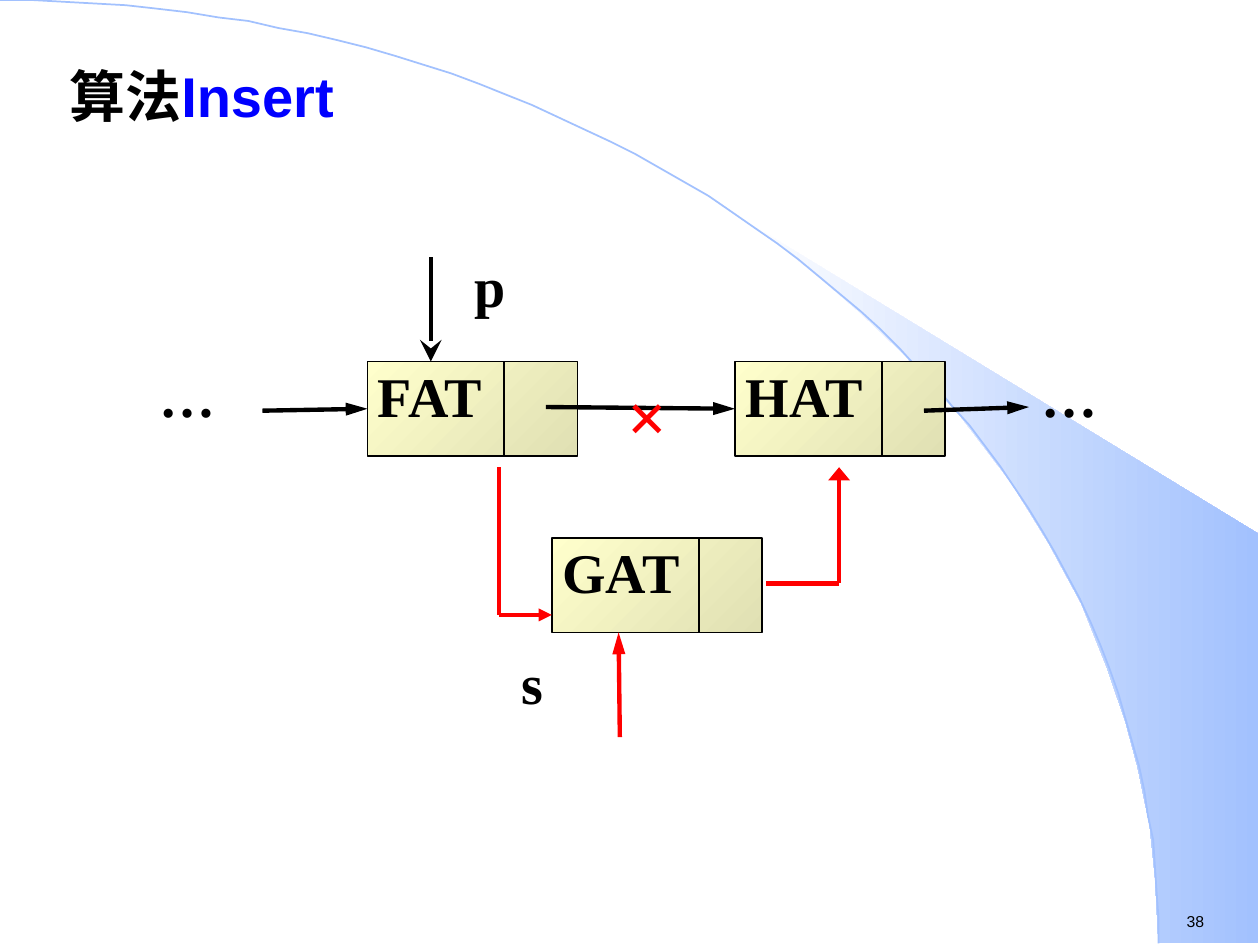
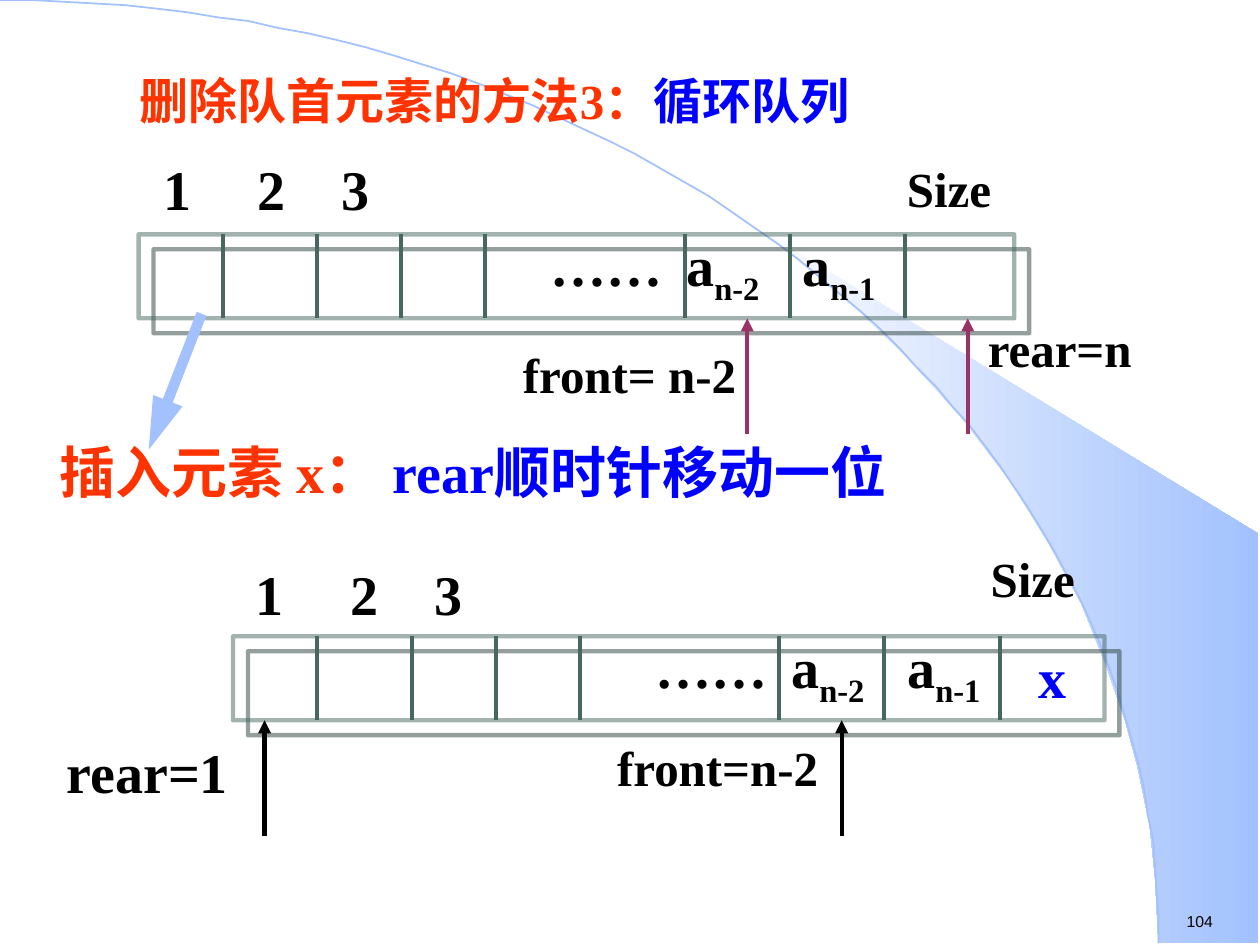
from lxml.etree import SubElement
from pptx import Presentation
from pptx.dml.color import RGBColor
from pptx.enum.shapes import MSO_CONNECTOR as Connector, MSO_SHAPE as Shape
from pptx.enum.text import MSO_ANCHOR as Anchor, PP_ALIGN as Align
from pptx.oxml.ns import qn
from pptx.util import Pt

BLACK = RGBColor(0x00, 0x00, 0x00)
WHITE = RGBColor(0xFF, 0xFF, 0xFF)
BLUE = RGBColor(0x00, 0x00, 0xFF)
RED = RGBColor(0xFF, 0x00, 0x00)
ORANGE = RGBColor(0xFF, 0x33, 0x00)
SKY = RGBColor(0xA2, 0xC1, 0xFE)
PLUM = RGBColor(0x99, 0x33, 0x66)
TEAL = RGBColor(0x46, 0x68, 0x61)
CREAM = RGBColor(0xFF, 0xFF, 0xCC)
KHAKI = RGBColor(0xE0, 0xE0, 0xB3)
SERIF, SANS = "Times New Roman", "Arial"

INSET = {"margin_left": Pt(7.2), "margin_right": Pt(7.2),
         "margin_top": Pt(3.6), "margin_bottom": Pt(3.6)}
FLUSH = dict.fromkeys(INSET, 0)


def write(slide, runs, left, top, width, height=46, size=32, name=SERIF,
          bold=True, margins=INSET, **paragraph_format):
    box = slide.shapes.add_textbox(Pt(left), Pt(top), Pt(width), Pt(height))
    frame_format = {"word_wrap": True, "vertical_anchor": Anchor.TOP, **margins}
    for key, value in frame_format.items():
        setattr(box.text_frame, key, value)
    paragraph = box.text_frame.paragraphs[0]
    for key, value in paragraph_format.items():
        setattr(paragraph, key, value)
    for text, color, *baseline in runs:
        run = paragraph.add_run()
        run.text = text
        for key, value in {"size": Pt(size), "name": name, "bold": bold}.items():
            setattr(run.font, key, value)
        run.font.color.rgb = color
        if baseline:
            run._r.get_or_add_rPr().set("baseline", str(baseline[0]))


def connect(slide, start, end, color=BLACK, width=2.5, head=None):
    line = slide.shapes.add_connector(
        Connector.STRAIGHT, *(Pt(value) for value in (*start, *end)))
    line.line.color.rgb = color
    line.line.width = Pt(width)
    if head:
        kind, head_width, length = head
        SubElement(line.line._get_or_add_ln(), qn("a:tailEnd"),
                   type=kind, w=head_width, len=length)
    SubElement(line._element.spPr, qn("a:effectLst"))
    return line


SHORT = ("triangle", "med", "med")
LONG = ("triangle", "med", "lg")
BROAD = ("triangle", "lg", "med")
STEALTH = ("stealth", "lg", "lg")

SWEEP = [(662.4, 538.6), (719.3, 539.3), (719.3, 304.6), (424.1, 124.6),
         (449.3, 143.3), (470.2, 159.8), (493.2, 180), (515.5, 201.6),
         (548.6, 237.6), (578.2, 276.5), (599, 310.3), (617.8, 344.9),
         (632.2, 380.2), (643, 411.8), (650.2, 438.5), (657.4, 472.3),
         (660.2, 501.1)]
ARC_WIDTH, ARC_HEIGHT = 662.4, 539.3
ARC_STEPS = 60
arc = []
for step in range(ARC_STEPS + 1):
    t = step / ARC_STEPS
    ease_in, ease_out, finish = 3 * (1 - t) ** 2 * t, 3 * (1 - t) * t ** 2, t ** 3
    arc.append((365.8 * ease_in + ARC_WIDTH * (ease_out + finish),
                241.2 * ease_out + ARC_HEIGHT * finish))

deck = Presentation()
deck.slide_width, deck.slide_height = Pt(720), Pt(540)
slides = []
for number in ("38", "104"):
    slide = deck.slides.add_slide(deck.slide_layouts[6])
    slide.background.fill.solid()
    slide.background.fill.fore_color.rgb = WHITE
    for outline, closed in ((SWEEP, True), (arc, False)):
        builder = slide.shapes.build_freeform(*outline[0], scale=Pt(1))
        builder.add_line_segments(outline[1:], close=closed)
        curve = builder.convert_to_shape()
        curve.shadow.inherit = False
        if closed:
            curve.fill.gradient()
            curve.fill.gradient_angle = 0
            for stop, color in zip(curve.fill.gradient_stops, (WHITE, SKY)):
                stop.color.rgb = color
            curve.line.fill.background()
        else:
            curve.fill.background()
            curve.line.color.rgb = SKY
            curve.line.width = Pt(1)
    write(slide, [(number, BLACK)], 671, 517.7, 48, 18, size=9, name=SANS, bold=False)
    slides.append(slide)
insertion, queue = slides

NODE_WIDTH, NODE_HEIGHT = 120, 54
nodes = {}
for word, left, top, link in (("FAT", 210, 206.6, 78), ("HAT", 420, 206.6, 84),
                              ("GAT", 315.3, 307.4, 84)):
    node = insertion.shapes.add_shape(
        Shape.RECTANGLE, Pt(left), Pt(top), Pt(NODE_WIDTH), Pt(NODE_HEIGHT))
    node.shadow.inherit = False
    node.fill.gradient()
    node.fill.gradient_angle = 315
    for stop, color in zip(node.fill.gradient_stops, (CREAM, KHAKI)):
        stop.color.rgb = color
    node.line.color.rgb = BLACK
    node.line.width = Pt(1)
    connect(insertion, (left + link, top), (left + link, top + NODE_HEIGHT), width=1)
    write(insertion, [(word, BLACK)], left + 6, top, 78, 38, margins=FLUSH)
    nodes[word] = node

for start, end, target in (((150, 234.7), (210, 233.6), "FAT"),
                           ((312, 232.6), (420, 233.6), "HAT"),
                           ((528, 234.7), (588, 232.6), None)):
    arrow = connect(insertion, start, end, head=LONG)
    if target:
        arrow.end_connect(nodes[target], 1)
connect(insertion, (246.2, 147), (246.2, 206.6), head=STEALTH)

for start, end, head in (((285.2, 267), (285.2, 351.4), None),
                         ((285.2, 351.4), (315.3, 351.4), SHORT),
                         ((354.2, 421.2), (353.5, 361.4), LONG),
                         ((479.5, 333.4), (479.5, 267), BROAD),
                         ((437.8, 333.4), (479.5, 333.4), None)):
    connect(insertion, start, end, RED, head=head)

for left in (84, 588):
    write(insertion, [("…", BLACK)], left, 200.9, 60, 47.5, line_spacing=1.05)
for pointer, left, top in (("p", 264, 140.4), ("s", 291, 367.2)):
    write(insertion, [(pointer, BLACK)], left, top, 36)
write(insertion, [("×", RED)], 351.4, 209.5, 50, 55, size=40)
write(insertion, [("算法", BLACK), ("Insert", BLUE)], 32.4, 31.7, 322, name=SANS)

CELL_EDGES = (48, 102, 150, 198, 312, 372, 438)
ROW_HEIGHT, POINTER_LENGTH = 48, 66.3
rows = (
    (79.2, 133.9, 500.4, 7, 85, 0, PLUM, (347.8, 473.8)),
    (133.2, 363.6, 498, 6, 316.1, 6, BLACK, (347.8, 18)),
)
for left, top, width, index_shift, index_top, value_shift, color, pointers in rows:
    bottom = top + ROW_HEIGHT
    array = queue.shapes.add_shape(
        Shape.RECTANGLE, Pt(left), Pt(top), Pt(width), Pt(ROW_HEIGHT))
    array.fill.background()
    array.line.color.rgb = TEAL
    array.line.width = Pt(2.5)
    tint = array.line._get_or_add_ln().find(".//" + qn("a:srgbClr"))
    SubElement(tint, qn("a:alpha"), val="50000")
    effects = SubElement(array._element.spPr, qn("a:effectLst"))
    shade = SubElement(effects, qn("a:outerShdw"), dist=str(Pt(12.1)),
                       dir="2700000", algn="ctr", rotWithShape="0")
    SubElement(shade, qn("a:srgbClr"), val="2A3E3A")

    for edge in CELL_EDGES:
        connect(queue, (left + edge, top), (left + edge, bottom), TEAL, 2.25)
    for index, offset in (("1", 0), ("2", 54), ("3", 102)):
        write(queue, [(index, BLACK)], left + index_shift + offset, index_top, 36)
    for runs, offset, span in (([("……", BLACK)], 228.2, 90),
                               ([("a", BLACK), ("n-2", BLACK, -25000)], 306, 72),
                               ([("a", BLACK), ("n-1", BLACK, -25000)], 372.2, 72)):
        write(queue, runs, left + value_shift + offset, top - 5.8, span)
    for offset in pointers:
        connect(queue, (left + offset, bottom + POINTER_LENGTH),
                (left + offset, bottom), color, head=SHORT)

for text, left, top, width, size, margins in (
        ("Size", 511.2, 87.1, 80, 28, INSET),
        ("Size", 559, 309.6, 80, 28, INSET),
        ("front= n-2", 298.8, 196.6, 135.4, 28, FLUSH),
        ("rear=n", 564.5, 182.2, 113, 28, FLUSH),
        ("front=n-2", 345.6, 417.6, 141, 28, INSET),
        ("rear=1", 31, 417.6, 138, 32, INSET)):
    write(queue, [(text, BLACK)], left, top, width, size=size, margins=margins)

write(queue, [("x", BLUE)], 583.2, 363.6, 36, alignment=Align.CENTER)
write(queue, [("删除队首元素的方法3：", ORANGE), ("循环队列", BLUE)],
      72.7, 31.7, 460, size=28, line_spacing=1.15)
connect(queue, (115.2, 179.3), (85, 257), SKY, 6, LONG)
write(queue, [("插入元素 x： ", ORANGE), ("rear顺时针移动一位", BLUE)],
      33.8, 249.8, 533, 38, margins=FLUSH)

deck.save("out.pptx")
